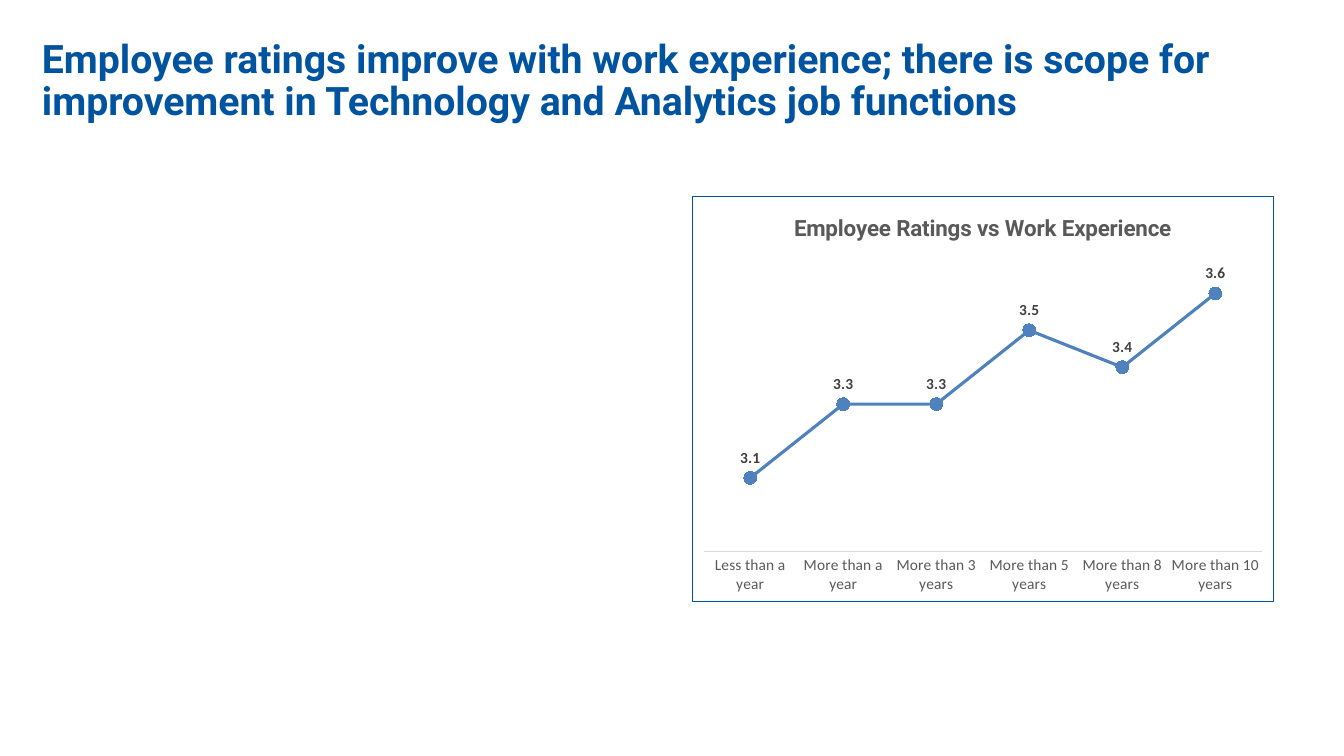
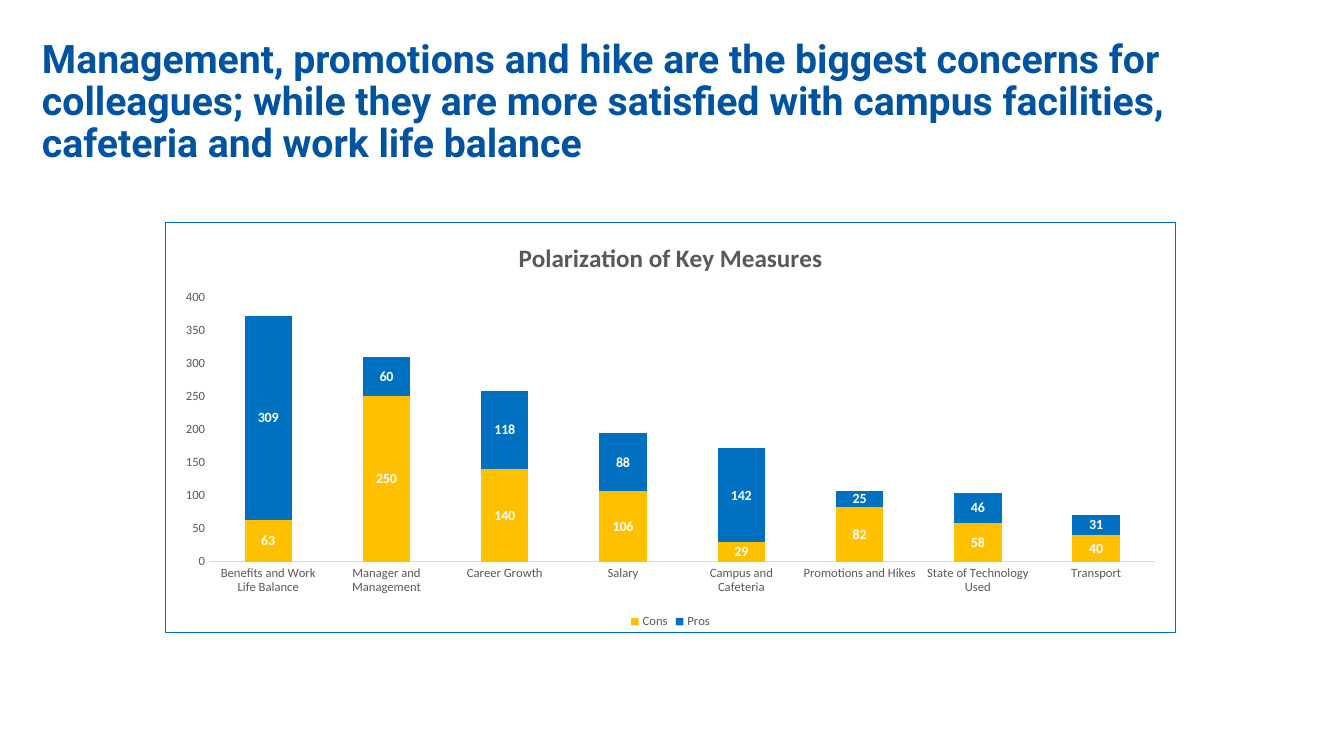
"""Build two slides on employee ratings and the key measures behind them."""
from lxml import etree
from pptx import Presentation
from pptx.chart.data import CategoryChartData
from pptx.dml.color import RGBColor
from pptx.enum import chart as chart_enum, text
from pptx.oxml import parse_xml
from pptx.oxml.ns import nsdecls
from pptx.util import Pt

NAVY, BLUE, GOLD, LINE_BLUE = "00539F", "0070C0", "FFC000", "4F81BD"
WHITE, LABEL_GREY, TEXT_GREY, AXIS_GREY = "FFFFFF", "404040", "595959", "D9D9D9"


def style_font(font, size, color, bold=False, name="Calibri"):
    font.name, font.size, font.bold = name, Pt(size), bold
    font.color.rgb = RGBColor.from_string(color)


def add_chart_slide(heading, chart_type, frame, categories, series, number_format,
                    chart_title, title_font, title_size, axis_size, border):
    slide = presentation.slides.add_slide(presentation.slide_layouts[5])
    title = slide.shapes.title
    title.left, title.top, title.width, title.height = Pt(30), Pt(28), Pt(900), Pt(62)
    title_frame = title.text_frame
    title_frame.text = heading
    title_frame.word_wrap = True
    title_frame.auto_size = text.MSO_AUTO_SIZE.NONE
    title_frame.vertical_anchor = text.MSO_ANCHOR.TOP
    title_frame.margin_left = title_frame.margin_right = 0
    title_frame.margin_top = title_frame.margin_bottom = 0
    paragraph = title_frame.paragraphs[0]
    paragraph.alignment = text.PP_ALIGN.LEFT
    paragraph.line_spacing = 0.9
    style_font(paragraph.font, 28, NAVY, True, "Roboto")

    data = CategoryChartData(number_format=number_format)
    data.categories = categories
    for name, values in series:
        data.add_series(name, values)
    chart = slide.shapes.add_chart(chart_type, *map(Pt, frame), data).chart
    style_font(chart.font, 10, "000000")
    chart.has_title = True
    chart.chart_title.text_frame.text = chart_title
    style_font(chart.chart_title.text_frame.paragraphs[0].font,
               title_size, TEXT_GREY, True, title_font)
    chart.has_legend = False

    category_axis = chart.category_axis
    category_axis.major_tick_mark = chart_enum.XL_TICK_MARK.NONE
    category_axis.format.line.color.rgb = RGBColor.from_string(AXIS_GREY)
    category_axis.format.line.width = Pt(0.75)
    style_font(category_axis.tick_labels.font, axis_size, TEXT_GREY)
    chart.value_axis.has_major_gridlines = False

    outline = parse_xml(
        f'<c:spPr {nsdecls("c", "a")}><a:solidFill><a:srgbClr val="{WHITE}"/></a:solidFill>'
        f'<a:ln w="{Pt(0.75)}"><a:solidFill><a:srgbClr val="{border}"/></a:solidFill></a:ln>'
        '</c:spPr>')
    chart.element.chart.addnext(outline)
    return chart


presentation = Presentation()
presentation.slide_width, presentation.slide_height = Pt(960), Pt(540)

ratings = add_chart_slide(
    "Employee ratings improve with work experience; there is scope for "
    "improvement in Technology and Analytics job functions",
    chart_enum.XL_CHART_TYPE.LINE_MARKERS, (494, 140, 416, 290),
    ["Less than a year", "More than a year", "More than 3 years",
     "More than 5 years", "More than 8 years", "More than 10 years"],
    [("Series 1", [3.1, 3.3, 3.3, 3.5, 3.4, 3.6])], "0.0",
    "Employee Ratings vs Work Experience", "Roboto", 16, 11, NAVY)
rating_axis = ratings.value_axis
rating_axis.minimum_scale, rating_axis.maximum_scale = 2.9, 3.7
rating_axis.major_unit = 0.2
rating_axis.visible = False

rating_line = ratings.plots[0].series[0]
rating_line.smooth = False
rating_line.format.line.color.rgb = RGBColor.from_string(LINE_BLUE)
rating_line.format.line.width = Pt(2.25)
marker = rating_line.marker
marker.style, marker.size = chart_enum.XL_MARKER_STYLE.CIRCLE, 9
marker.format.fill.solid()
marker.format.fill.fore_color.rgb = RGBColor.from_string(LINE_BLUE)
marker.format.line.color.rgb = RGBColor.from_string(LINE_BLUE)

measures = add_chart_slide(
    "Management, promotions and hike are the biggest concerns for colleagues; while "
    "they are more satisfied with campus facilities, cafeteria and work life balance",
    chart_enum.XL_CHART_TYPE.COLUMN_STACKED, (118, 158.5, 722, 294),
    ["Benefits and Work Life Balance", "Manager and Management", "Career Growth", "Salary",
     "Campus and Cafeteria", "Promotions and Hikes", "State of Technology Used", "Transport"],
    [("Cons", [63, 250, 140, 106, 29, 82, 58, 40]),
     ("Pros", [309, 60, 118, 88, 142, 25, 46, 31])], "General",
    "Polarization of Key Measures", "Calibri", 18, 9, BLUE)
count_axis = measures.value_axis
count_axis.major_tick_mark = chart_enum.XL_TICK_MARK.NONE
count_axis.format.line.fill.background()
style_font(count_axis.tick_labels.font, 9, TEXT_GREY)
measures.has_legend = True
measures.legend.position = chart_enum.XL_LEGEND_POSITION.BOTTOM
measures.legend.include_in_layout = False
style_font(measures.legend.font, 9, TEXT_GREY)
measures.plots[0].overlap = 100
measures.plots[0].gap_width = 150
for column, color in zip(measures.plots[0].series, (GOLD, BLUE)):
    column.format.fill.solid()
    column.format.fill.fore_color.rgb = RGBColor.from_string(color)

for chart, position, size, color in (
        (ratings, chart_enum.XL_LABEL_POSITION.ABOVE, 11, LABEL_GREY),
        (measures, chart_enum.XL_LABEL_POSITION.CENTER, 10, WHITE)):
    plot = chart.plots[0]
    plot.vary_by_categories = False
    for series in plot.series:
        labels = series.data_labels
        labels.show_value = True
        labels.position = position
        style_font(labels.font, size, color, True)

presentation.save("out.pptx")
